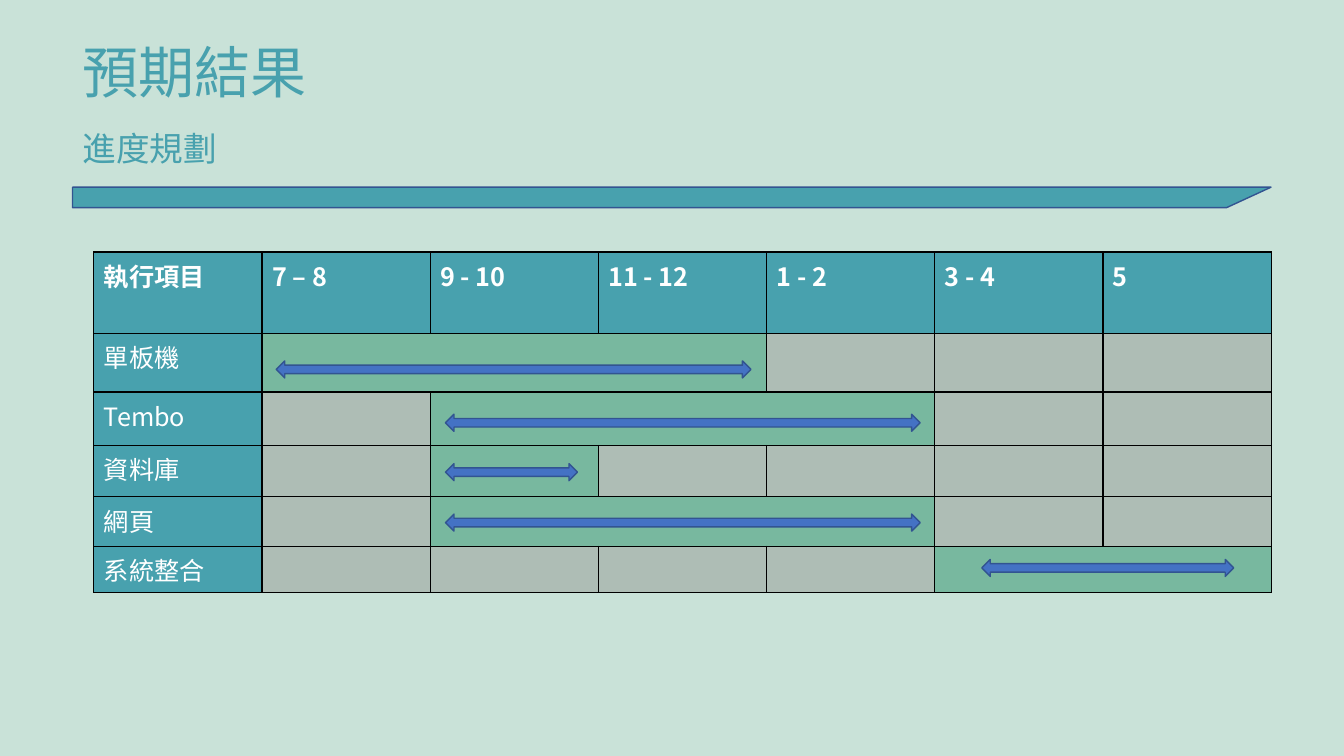
from lxml.etree import SubElement
from pptx import Presentation
from pptx.dml.color import RGBColor
from pptx.enum.shapes import MSO_SHAPE
from pptx.enum.text import MSO_ANCHOR, MSO_AUTO_SIZE, PP_ALIGN
from pptx.oxml import parse_xml
from pptx.oxml.ns import nsdecls, qn
from pptx.util import Pt

FONT = "Noto Sans CJK SC"
COLORS = {
    "background": "C9E2D8",
    "teal": "48A1AE",
    "active": "78B89F",
    "idle": "868782",
    "arrow": "4472C4",
    "outline": "325491",
    "border": "000000",
    "white": "FFFFFF",
}
HEADER_HEIGHT = 58.3
PERIODS = ["執行項目", "7 – 8", "9 - 10", "11 - 12", "1 - 2", "3 - 4", "5"]
# name, row height, first active column, active columns, arrow left, top, width
TASKS = [
    ("單板機", 41.8, 1, 3, 197.3, 257.8, 339.1),
    ("Tembo", 38.2, 2, 3, 318.2, 295.9, 339.1),
    ("資料庫", 36.7, 2, 1, 318.2, 331.2, 94.3),
    ("網頁", 35.3, 2, 3, 318.2, 367.2, 339.1),
    ("系統整合", 33.1, 5, 2, 701.3, 399.6, 180),
]


def rgb(name):
    return RGBColor.from_string(COLORS[name])


def add_run(p, text, size, color, bold=False):
    r = p.add_run()
    r.text = text
    r.font.size = Pt(size)
    r.font.bold = bold
    r.font.name = FONT
    r.font.color.rgb = rgb(color)
    SubElement(r.font._element, qn("a:ea"), typeface=FONT)


def format_heading(s, left, top, width, height, text, size):
    s.left, s.top, s.width, s.height = Pt(left), Pt(top), Pt(width), Pt(height)
    tf = s.text_frame
    tf.word_wrap = True
    tf.auto_size = MSO_AUTO_SIZE.NONE
    tf.vertical_anchor = MSO_ANCHOR.MIDDLE
    p = tf.paragraphs[0]
    p.alignment = PP_ALIGN.LEFT
    add_run(p, text, size, "teal")


def style_shape(s, fill):
    s.shadow.inherit = False
    s.fill.solid()
    s.fill.fore_color.rgb = rgb(fill)
    s.line.color.rgb = rgb("outline")
    s.line.width = Pt(1)


def add_bar(slide):
    corners = [(907.9, 133.7), (876.2, 148.3), (51.8, 148.3)]
    builder = slide.shapes.build_freeform(Pt(51.8), Pt(133.7))
    builder.add_line_segments([(Pt(x), Pt(y)) for x, y in corners], close=True)
    style_shape(builder.convert_to_shape(), "teal")


def add_arrow(slide, left, top, width):
    s = slide.shapes.add_shape(
        MSO_SHAPE.LEFT_RIGHT_ARROW, Pt(left), Pt(top), Pt(width), Pt(12.2))
    style_shape(s, "arrow")


def style_cell(cell, fill):
    """Give the cell its borders, then its fill; idle cells are see-through."""
    tcPr = cell._tc.get_or_add_tcPr()
    for side in "LRTB":
        tcPr.append(parse_xml(
            f'<a:ln{side} {nsdecls("a")} w="{Pt(1)}"><a:solidFill>'
            f'<a:srgbClr val="{COLORS["border"]}"/></a:solidFill></a:ln{side}>'))
    cell.fill.solid()
    cell.fill.fore_color.rgb = rgb(fill)
    if fill == "idle":
        color = tcPr.find(qn("a:solidFill")).find(qn("a:srgbClr"))
        SubElement(color, qn("a:alpha"), val="40000")


def add_schedule(slide):
    heights = [HEADER_HEIGHT] + [task[1] for task in TASKS]
    frame = slide.shapes.add_table(
        len(heights), len(PERIODS), Pt(67), Pt(180), Pt(841), Pt(sum(heights)))
    table = frame.table
    table.first_row = table.horz_banding = False
    for row, height in zip(table.rows, heights):
        row.height = Pt(height)

    for col, period in enumerate(PERIODS):
        cell = table.cell(0, col)
        style_cell(cell, "teal")
        add_run(cell.text_frame.paragraphs[0], period, 18, "white", bold=True)

    for row, (name, _, start, count, *_) in enumerate(TASKS, 1):
        for col in range(len(PERIODS)):
            active = start <= col < start + count
            fill = "teal" if col == 0 else "active" if active else "idle"
            style_cell(table.cell(row, col), fill)
        add_run(table.cell(row, 0).text_frame.paragraphs[0], name, 18, "white")
        if count > 1:
            table.cell(row, start).merge(table.cell(row, start + count - 1))


def main():
    prs = Presentation()
    prs.slide_width, prs.slide_height = Pt(960), Pt(540)
    slide = prs.slides.add_slide(prs.slide_layouts[5])
    slide.background.fill.solid()
    slide.background.fill.fore_color.rgb = rgb("background")

    format_heading(slide.shapes.title, 51.8, 23, 856, 55.4, "預期結果", 40)
    add_bar(slide)
    subtitle = slide.shapes.add_textbox(0, 0, 0, 0)
    format_heading(subtitle, 51.8, 87.8, 394.6, 36, "進度規劃", 24)
    add_schedule(slide)
    for *_, left, top, width in TASKS:
        add_arrow(slide, left, top, width)
    prs.save("out.pptx")


if __name__ == "__main__":
    main()
